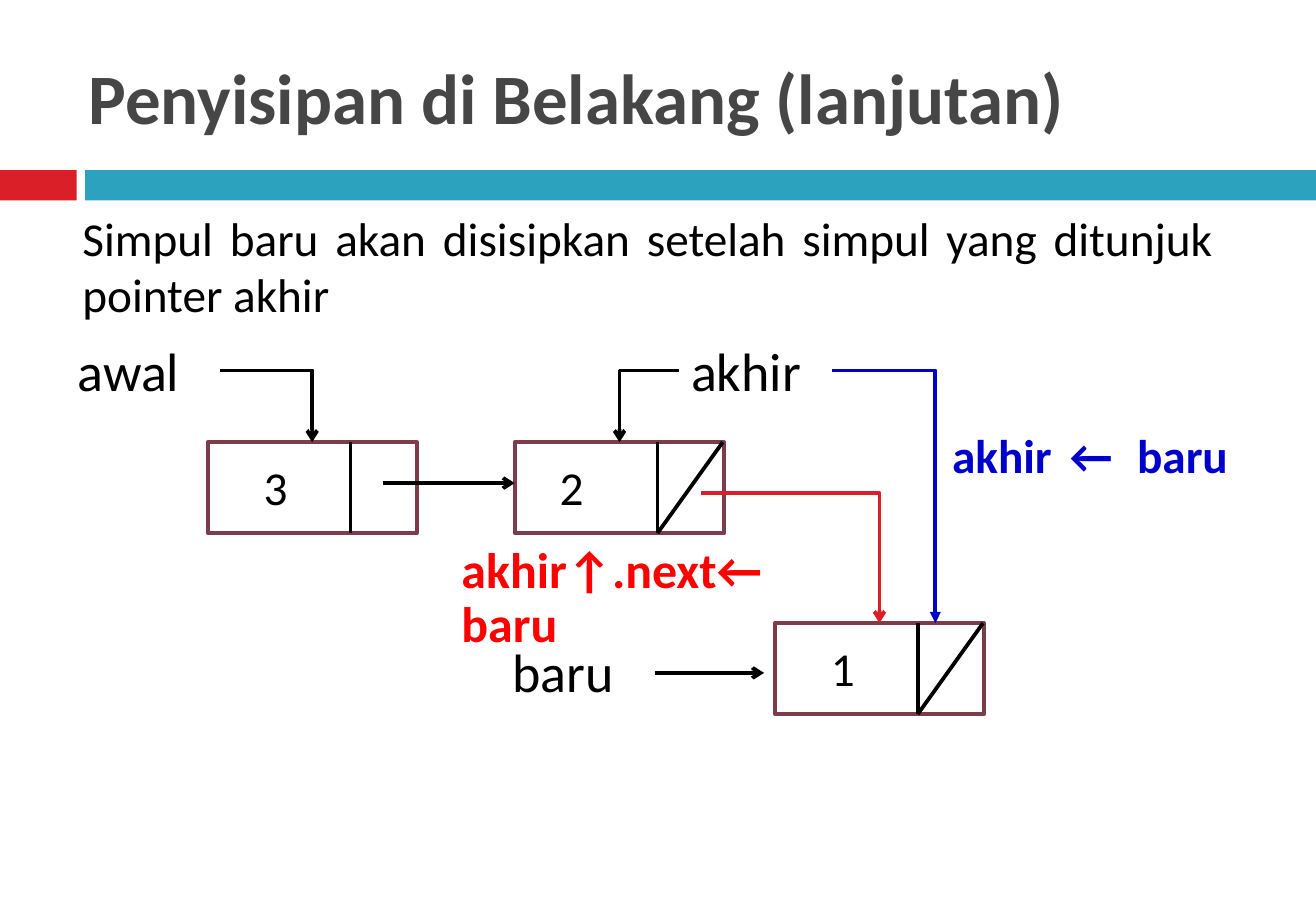
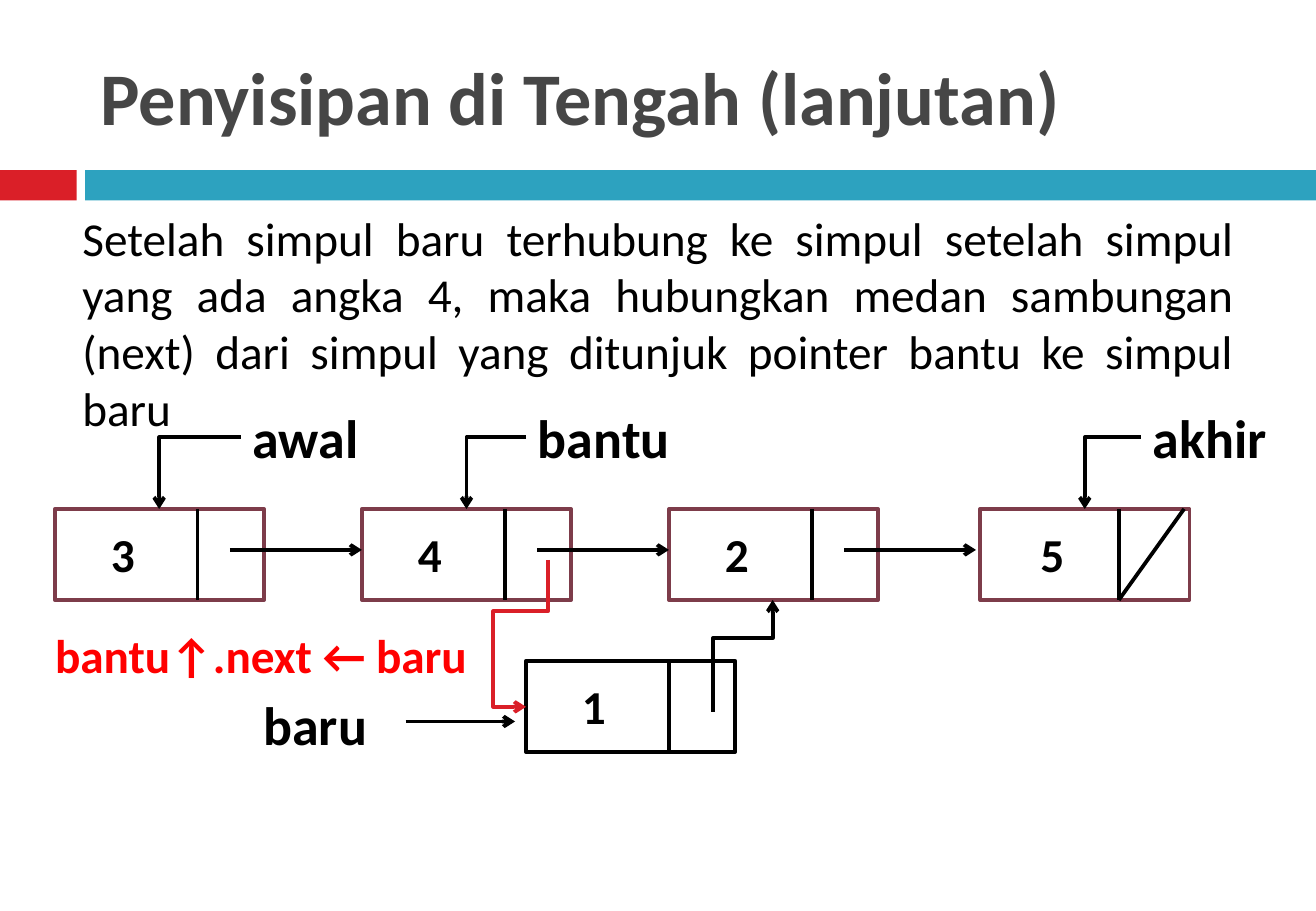
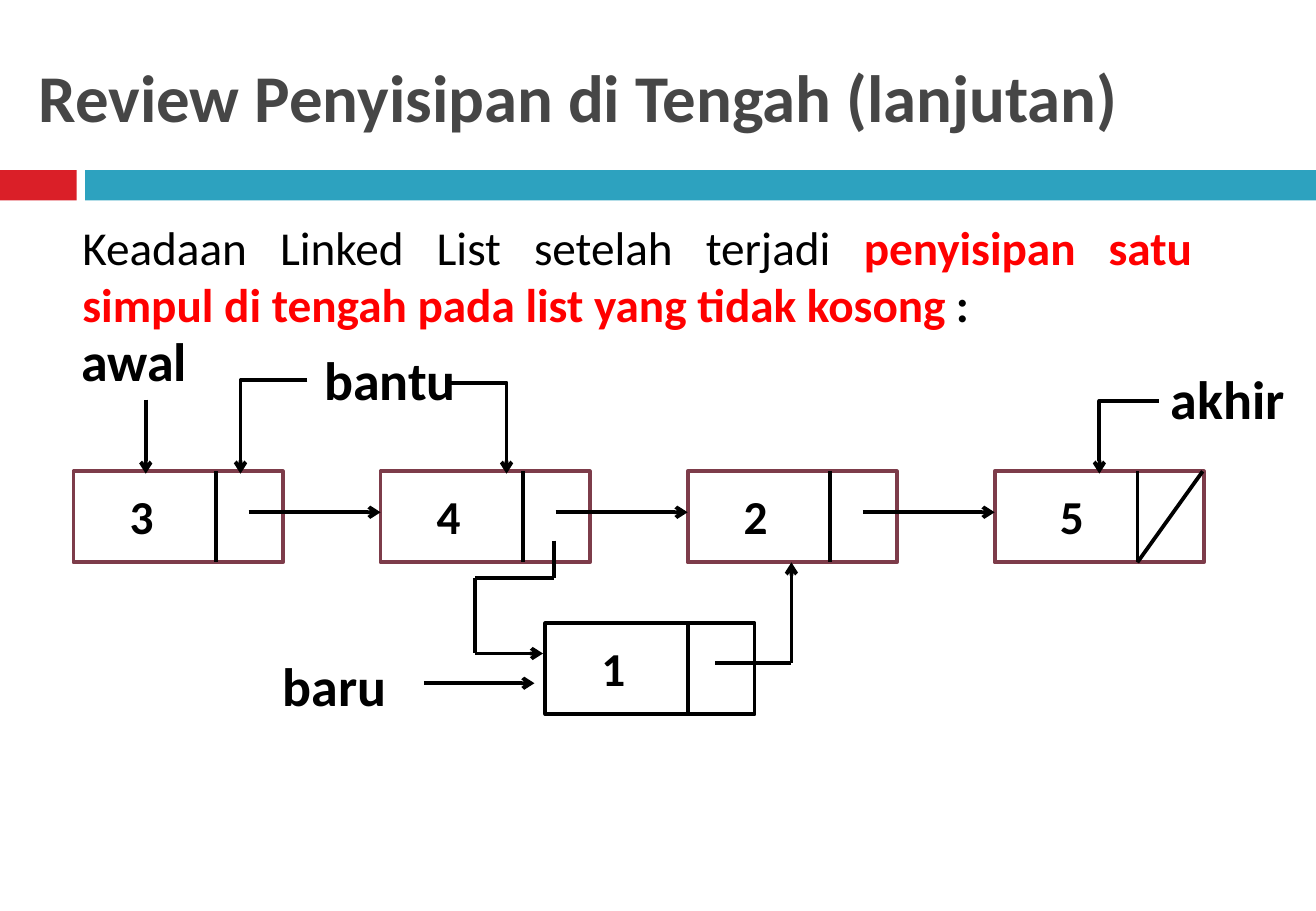
import lxml.etree
import pptx
import pptx.dml.color
import pptx.enum.shapes
import pptx.enum.text
import pptx.oxml.ns
import pptx.util

COLUMNS, ROWS = 130, 90
NODE_WIDTH, NODE_HEIGHT = 20.67, 9
STEP = 30.33
BLACK, RED, CRIMSON, BLUE = "000000", "FF0000", "DA1F28", "0000CC"
TEAL, PLUM, GREY, WHITE = "2DA2BF", "7D3C4A", "464646", "FFFFFF"
JUSTIFY = pptx.enum.text.PP_ALIGN.JUSTIFY
RIGHT = pptx.enum.text.PP_ALIGN.RIGHT
MIDDLE = pptx.enum.text.MSO_ANCHOR.MIDDLE


def colour(code):
    return pptx.dml.color.RGBColor.from_string(code)


def tag(name):
    return pptx.oxml.ns.qn(name)


class Deck:
    """Holds the shared style and the current slide, placed on a grid of columns and rows."""

    def __init__(self):
        self.file = pptx.Presentation()
        self.file.slide_width = pptx.util.Inches(10.83)
        self.file.slide_height = pptx.util.Inches(7.5)
        self.slide = None

    def x(self, column):
        return round(self.file.slide_width * column / COLUMNS)

    def y(self, row):
        return round(self.file.slide_height * row / ROWS)

    def place(self, area):
        left, top, width, height = area
        return self.x(left), self.y(top), self.x(width), self.y(height)

    def start(self, title, left, size):
        self.slide = self.file.slides.add_slide(self.file.slide_layouts[6])
        self.box((0, 16.8, 7.58, 3), CRIMSON)
        self.box((8.4, 16.8, 121.6, 3), TEAL)
        self.text((left, 3, 115.9, 12.96), [(title, {})], size, GREY, True, anchor=MIDDLE)

    def box(self, area, fill, border=None):
        rectangle = pptx.enum.shapes.MSO_SHAPE.RECTANGLE
        box = self.slide.shapes.add_shape(rectangle, *self.place(area))
        box.shadow.inherit = False
        box.fill.solid()
        box.fill.fore_color.rgb = colour(fill)
        if border:
            box.line.color.rgb = colour(border)
            box.line.width = pptx.util.Pt(2.25)
        else:
            box.line.fill.background()

    def text(self, area, runs, size=28, ink=BLACK, bold=False, anchor=None, **layout):
        frame = self.slide.shapes.add_textbox(*self.place(area)).text_frame
        frame.word_wrap = True
        if anchor is not None:
            frame.vertical_anchor = anchor
        paragraph = frame.paragraphs[0]
        for key, value in layout.items():
            setattr(paragraph, key, value)
        for words, special in runs:
            run = paragraph.add_run()
            run.text = words
            look = {"ink": ink, "bold": bold, "tracking": None, **special}
            run.font.color.rgb = colour(look["ink"])
            style = {"name": "Calibri", "size": pptx.util.Pt(size), "bold": look["bold"]}
            for key, value in style.items():
                setattr(run.font, key, value)
            if look["tracking"]:
                run.font._element.set("spc", str(look["tracking"]))

    def label(self, word, left, top, bold=True, width=15.12):
        self.text((left, top, width, 7.68), [(word, {})], 32, bold=bold)

    def connect(self, kind, start, end, ink, head):
        line = self.slide.shapes.add_connector(
            kind, self.x(start[0]), self.y(start[1]), self.x(end[0]), self.y(end[1]))
        line.line.color.rgb = colour(ink)
        line.line.width = pptx.util.Pt(2.25)
        properties = line.element.spPr
        if head:
            outline = properties.find(tag("a:ln"))
            lxml.etree.SubElement(outline, tag("a:tailEnd")).set("type", head)
        lxml.etree.SubElement(properties, tag("a:effectLst"))
        return properties

    def line(self, start, end, head=None):
        self.connect(pptx.enum.shapes.MSO_CONNECTOR.STRAIGHT, start, end, BLACK, head)

    def elbow(self, start, end, ink=BLACK, head="arrow", route="bentConnector2",
              turn=None, flips=(), bends=()):
        if turn is None:
            turn, flips = (180, ("flipV",)) if end[0] < start[0] else (0, ())
        width, height = abs(end[0] - start[0]), abs(end[1] - start[1])
        if turn % 180:
            width, height = height, width
        left = (start[0] + end[0] - width) / 2
        top = (start[1] + end[1] - height) / 2
        properties = self.connect(pptx.enum.shapes.MSO_CONNECTOR.ELBOW, (left, top),
                                  (left + width, top + height), ink, head)
        frame = properties.find(tag("a:xfrm"))
        frame.set("rot", str(turn * 60000))
        for flip in flips:
            frame.set(flip, "1")
        geometry = properties.find(tag("a:prstGeom"))
        geometry.set("prst", route)
        for number, share in enumerate(bends, 1):
            guide = lxml.etree.SubElement(geometry.find(tag("a:avLst")), tag("a:gd"))
            guide.set("name", f"adj{number}")
            guide.set("fmla", f"val {round(share * 100000)}")

    def node(self, value, left, top, border=PLUM, bold=True, end=False, shift=0, split=14.1):
        self.box((left, top, NODE_WIDTH, NODE_HEIGHT), WHITE, border)
        divider, bottom = left + split, top + NODE_HEIGHT
        self.line((divider, top), (divider, bottom))
        if end:
            self.line((divider + 6.45, top), (divider, bottom))
        self.text((left + 4.35 + shift, top + 1.03, 7.56, 6.84), [(value, {})], bold=bold)

    def link(self, left, top):
        self.line((left + 17.3, top + 4.05), (left + STEP, top + 4.05), "arrow")


def insert_at_back(deck):
    deck.start("Penyisipan di Belakang (lanjutan)", 7.58, 42)
    deck.text((6.96, 20.04, 114, 12.48), [(
        "Simpul baru akan disisipkan setelah simpul yang ditunjuk pointer akhir", {})],
        alignment=JUSTIFY)
    first, top = 20.52, 43.68
    deck.node("3", first, top, bold=False)
    deck.node("2", first + STEP, top, bold=False, end=True, shift=-1.1)
    deck.node("1", 76.56, 61.56, bold=False, end=True)
    deck.link(first, top)
    for word, left, row in (("awal", 6.48, 32.76), ("akhir", 67.08, 32.76),
                            ("baru", 49.44, 62.52)):
        deck.label(word, left, row, bold=False)
    deck.line((64.68, 66.48), (75.48, 66.48), "arrow")
    deck.elbow((21.72, 36.6), (30.84, top))
    deck.elbow((67.08, 36.6), (61.2, top))
    deck.elbow((69.24, 48.72), (86.88, 61.56), CRIMSON)
    deck.elbow((82.2, 36.6), (92.4, 61.56), BLUE, "triangle")
    deck.text((44.4, 53.28, 42.36, 6.84), [("akhir↑.next← baru", {})], 29.6, RED, True,
              line_spacing=0.9, space_before=pptx.util.Pt(7))
    deck.text((92.88, 41.52, 31.68, 9),
              [("akhir", {}), (" ← ", {"tracking": 420}), ("baru", {})], 28, BLUE, True,
              space_before=pptx.util.Pt(7))


def insert_in_middle(deck):
    deck.start("Penyisipan di Tengah (lanjutan)", 8.76, 44)
    deck.text((6.96, 20.04, 116.04, 24), [(
        "Setelah simpul baru terhubung ke simpul setelah simpul yang ada angka 4, "
        "maka hubungkan medan sambungan (next) dari simpul yang ditunjuk pointer bantu "
        "ke simpul baru", {})], alignment=JUSTIFY)
    deck.text((4.08, 61.32, 43.2, 6.96), [("bantu↑.next ← baru", {})], 28, RED, True,
              alignment=RIGHT, space_before=pptx.util.Pt(7))
    first, top = 5.42, 50.28
    lefts = [first + STEP * place for place in range(3)]
    for value, left in zip("342", lefts):
        deck.node(value, left, top)
    deck.node("5", 96.84, top, end=True, shift=0.4, split=13.68)
    deck.node("1", 51.96, 65.28, BLACK)
    for left in lefts:
        deck.link(left, top)
    for word, left, target in (("awal", 23.76, 15.72), ("bantu", 51.96, 46.08),
                               ("akhir", 112.68, 107.16)):
        deck.label(word, left, 39.36, width=17.28)
        deck.elbow((left, 43.2), (target, top))
    deck.label("baru", 24.84, 67.68)
    deck.line((40.08, 71.28), (50.88, 71.28), "arrow")
    deck.elbow((70.44, 70.32), (76.32, 59.28), route="bentConnector3", turn=90,
               flips=("flipH", "flipV"), bends=(0.66,))
    deck.elbow((54.12, 55.32), (51.96, 69.84), CRIMSON, route="bentConnector4", turn=90,
               bends=(0.35, 2.5))


def review_middle(deck):
    deck.start("Review Penyisipan di Tengah (lanjutan)", 2.64, 39.6)
    deck.text((6.96, 21, 111.96, 9), [
        ("Keadaan Linked List setelah terjadi ", {}),
        ("penyisipan satu simpul di tengah pada list yang tidak kosong ",
         {"ink": RED, "bold": True}),
        (":", {"bold": True})], alignment=JUSTIFY)
    first, top = 7.27, 46.56
    lefts = [first + STEP * place for place in range(4)]
    for value, left in zip("342", lefts):
        deck.node(value, left, top)
    deck.node("5", lefts[3], top, end=True, shift=0.9)
    deck.node("1", 53.88, 61.56, BLACK)
    for left in lefts[:3]:
        deck.link(left, top)
    for word, left, row in (("awal", 6.84, 31.8), ("bantu", 30.84, 33.6),
                            ("akhir", 114.48, 35.52), ("baru", 26.76, 63.84)):
        deck.label(word, left, row, width=17.28 if word == "bantu" else 15.12)
    deck.line((14.4, 39.48), (14.4, 46.8), "arrow")
    for start, end in (((30.36, 37.56), (23.76, 46.8)), ((44.4, 37.8), (50.04, 46.8)),
                       ((114.48, 39.6), (108.6, 46.8))):
        deck.elbow(start, end)
    deck.line((41.88, 67.5), (52.8, 67.5), "arrow")
    routes = (
        ((54.72, 53.4), (54.72, 57.12), (46.92, 57.12), (46.92, 64.56), (53.64, 64.56)),
        ((70.68, 65.52), (78.18, 65.52), (78.18, 55.56)),
    )
    for route in routes:
        for start, end in zip(route, route[1:]):
            deck.line(start, end, "arrow" if end == route[-1] else None)


def main():
    deck = Deck()
    for build in (insert_at_back, insert_in_middle, review_middle):
        build(deck)
    deck.file.save("out.pptx")


if __name__ == "__main__":
    main()
